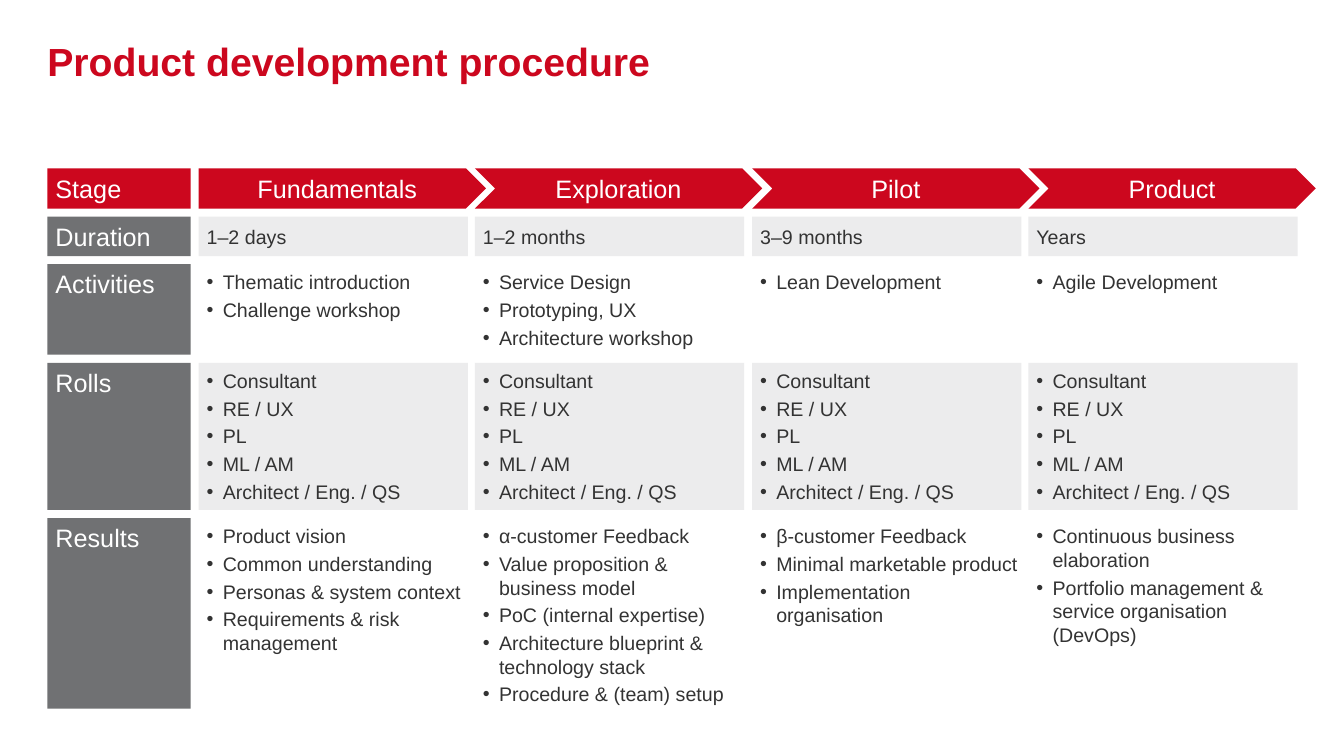
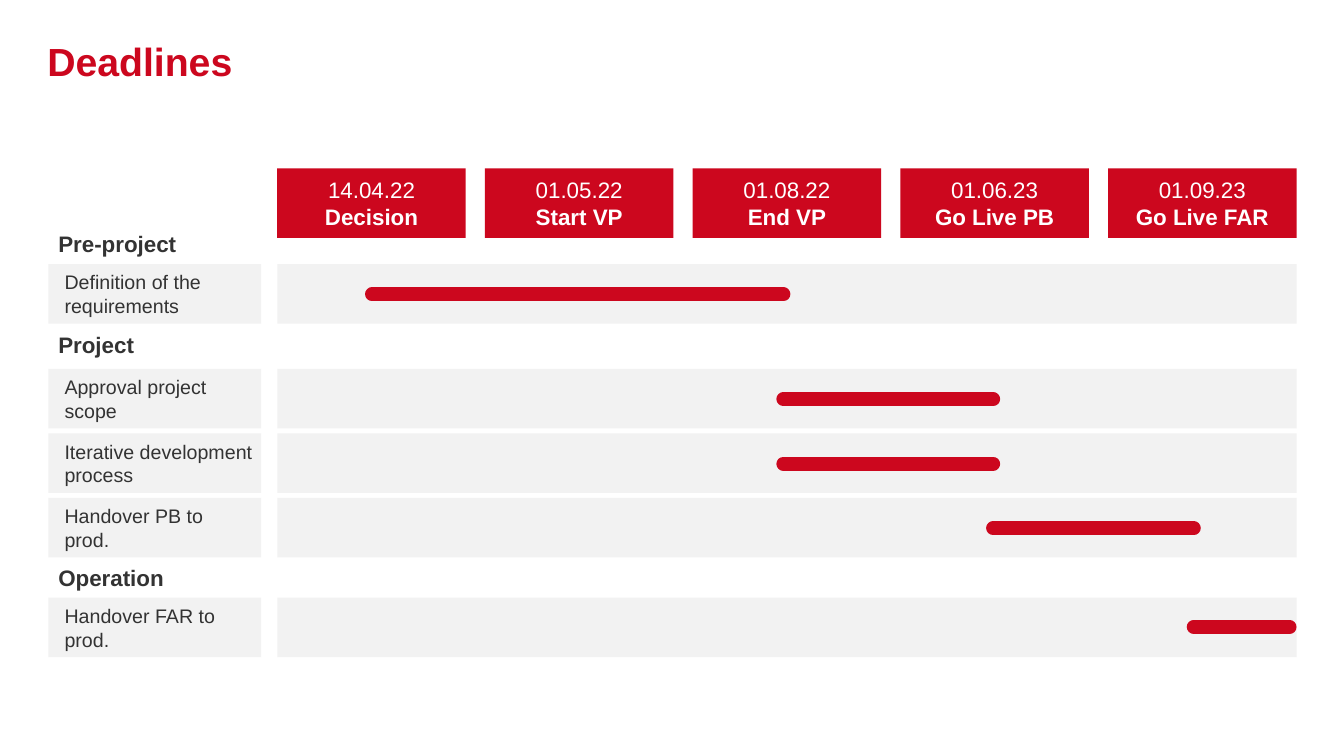
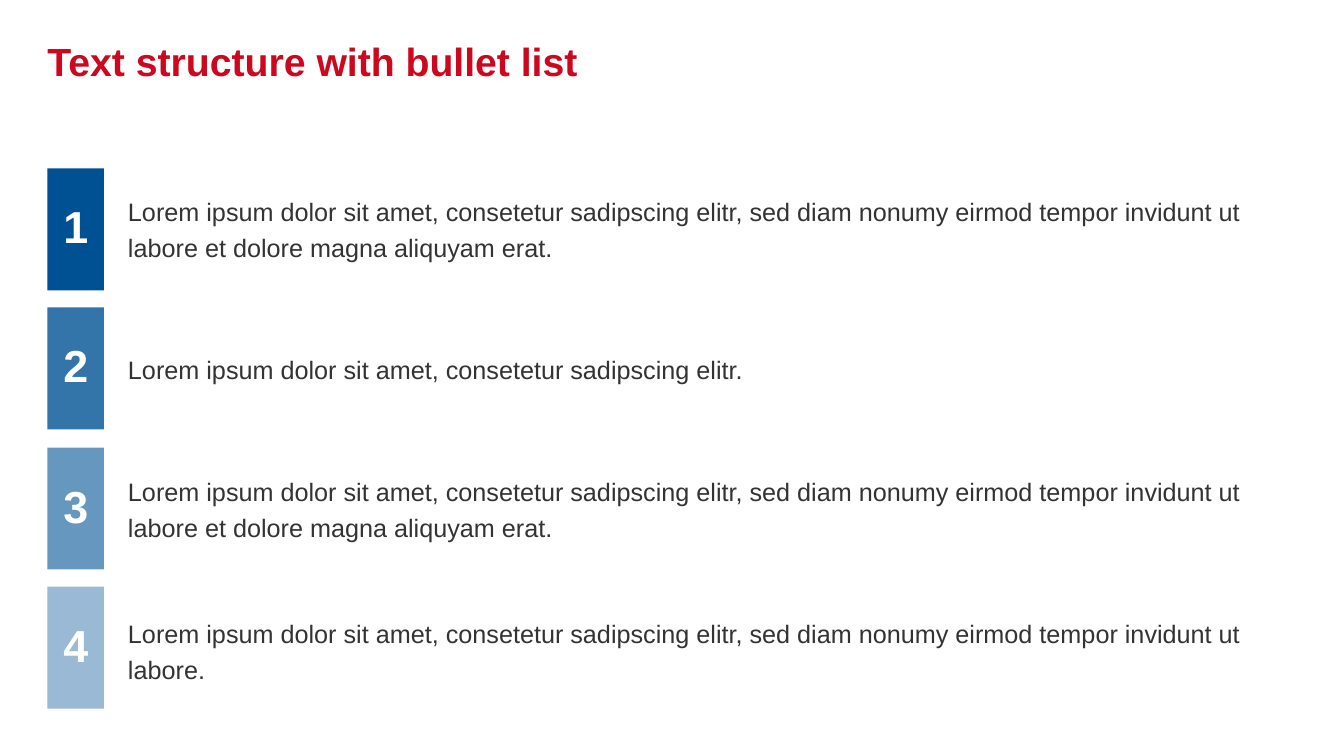
import copy

import lxml.etree
import pptx
import pptx.dml.color
import pptx.enum.shapes
import pptx.enum.text
import pptx.oxml.ns
import pptx.util

EMU_PER_PX = 9144  # 100 px to the inch
FONT = "Arial"
RED, GREY, LIGHT, PALE = "CC071E", "707173", "ECECED", "F2F2F2"
INK, WHITE = "333333", "FFFFFF"
LEFT, RIGHT, TOP = 47, 1287, 167

SHAPE = pptx.enum.shapes.MSO_SHAPE
MIDDLE = pptx.enum.text.MSO_ANCHOR.MIDDLE
UPPER = pptx.enum.text.MSO_ANCHOR.TOP
CENTER = pptx.enum.text.PP_ALIGN.CENTER
NO_PARA_FORMAT = {}

STAGES = ["Fundamentals", "Exploration", "Pilot", "Product"]
DURATIONS = ["1–2 days", "1–2 months", "3–9 months", "Years"]
ACTIVITIES = [
    ["Thematic introduction", "Challenge workshop"],
    ["Service Design", "Prototyping, UX", "Architecture workshop"],
    ["Lean Development"],
    ["Agile Development"],
]
ROLES = ["Consultant", "RE / UX", "PL", "ML / AM", "Architect / Eng. / QS"]
RESULTS = [
    ["Product vision", "Common understanding", "Personas & system context",
     "Requirements & risk management"],
    ["α-customer Feedback", "Value proposition & business model",
     "PoC (internal expertise)", "Architecture blueprint & technology stack",
     "Procedure & (team) setup"],
    ["β-customer Feedback", "Minimal marketable product",
     "Implementation organisation"],
    ["Continuous business elaboration",
     "Portfolio management & service organisation (DevOps)"],
]
# label, height, cell fill, bullet lists of the four stages
LIST_ROWS = [
    ("Activities", 90, None, ACTIVITIES),
    ("Rolls", 146, LIGHT, [ROLES] * len(STAGES)),
    ("Results", 189, None, RESULTS),
]

MILESTONES = [
    ("14.04.22", "Decision"), ("01.05.22", "Start VP"), ("01.08.22", "End VP"),
    ("01.06.23", "Go Live PB"), ("01.09.23", "Go Live FAR"),
]
# heading, its top, top of the first task, tasks with start and end of the bar
PHASES = [
    ("Pre-project", 223, 262, [("Definition of the requirements", 369, 777)]),
    ("Project", 324, 366, [("Approval project scope", 777, 985),
                           ("Iterative development process", 777, 985),
                           ("Handover PB to \vprod.", 985, 1184)]),
    ("Operation", 555, 593, [("Handover FAR to prod.", 1184, 1279)]),
]

LOREM = "Lorem ipsum dolor sit amet, consetetur sadipscing elitr"
LONG_LOREM = LOREM + ", sed diam nonumy eirmod tempor invidunt ut labore"
# fill of the number, height of the text box, text
POINTS = [
    ("005194", 115, LONG_LOREM + " et dolore magna aliquyam erat."),
    ("3374A9", 115, LOREM + "."),
    ("6697BF", 115, LONG_LOREM + " et dolore magna aliquyam erat."),
    ("99B9D4", 119, LONG_LOREM + "."),
]


def px(length):
    return pptx.util.Emu(round(length) * EMU_PER_PX)


def color(value):
    return pptx.dml.color.RGBColor.from_string(value)


def apply_format(target, values):
    for name, value in values.items():
        setattr(target, name, value)


def set_bullet(para):
    properties = para._p.get_or_add_pPr()
    properties.set("marL", str(px(16)))
    properties.set("indent", str(px(-16)))
    qn = pptx.oxml.ns.qn
    bullet_color = lxml.etree.SubElement(properties, qn("a:buClr"))
    lxml.etree.SubElement(bullet_color, qn("a:srgbClr"), val=INK)
    lxml.etree.SubElement(properties, qn("a:buFont"), typeface=FONT)
    lxml.etree.SubElement(properties, qn("a:buChar"), char="•")


def write(shape, lines, size, ink, bold=(), insets=(8, 8, 8, 8), anchor=MIDDLE,
          para_format=NO_PARA_FORMAT, bullets=False):
    """Fill a shape with one paragraph per line; bold holds the bold line numbers."""
    frame = shape.text_frame
    sides = ("margin_left", "margin_top", "margin_right", "margin_bottom")
    apply_format(frame, dict(zip(sides, map(px, insets))))
    apply_format(frame, {"word_wrap": True, "vertical_anchor": anchor,
                         "auto_size": pptx.enum.text.MSO_AUTO_SIZE.NONE})
    for number, line in enumerate(lines):
        para = frame.add_paragraph() if number else frame.paragraphs[0]
        para.text = line
        if bullets:
            set_bullet(para)
        apply_format(para, {"alignment": pptx.enum.text.PP_ALIGN.LEFT, **para_format})
        for span in para.runs:
            apply_format(span.font, {"name": FONT, "size": pptx.util.Pt(size),
                                     "bold": number in bold})
            span.font.color.rgb = color(ink)
        for line_break in para._p.findall(pptx.oxml.ns.qn("a:br")):
            line_break.insert(0, copy.deepcopy(para.runs[0]._r.rPr))


def add_panel(page, box, fill, kind=SHAPE.RECTANGLE):
    panel = page.shapes.add_shape(kind, *map(px, box))
    panel.shadow.inherit = False
    panel.fill.solid()
    panel.fill.fore_color.rgb = color(fill)
    panel.line.fill.background()
    return panel


def add_text_area(page, box):
    return page.shapes.add_textbox(*map(px, box))


def add_bar(page, start, end, middle):
    bar = page.shapes.add_connector(pptx.enum.shapes.MSO_CONNECTOR.STRAIGHT,
                                    px(start), px(middle), px(end), px(middle))
    bar.line.color.rgb = color(RED)
    bar.line.width = pptx.util.Pt(10)
    bar.line._get_or_add_ln().set("cap", "rnd")
    lxml.etree.SubElement(bar._element.spPr, pptx.oxml.ns.qn("a:effectLst"))


def add_page(deck, title):
    page = deck.slides.add_slide(deck.slide_layouts[5])
    holder = page.shapes.title
    apply_format(holder, {"left": px(LEFT), "top": px(0),
                          "width": px(1063), "height": px(120)})
    write(holder, [title], 28, RED, bold=[0], insets=(0, 0, 0, 0))
    return page


def add_row_label(page, box, text, fill, anchor):
    write(add_panel(page, box, fill), [text], 18, WHITE, insets=(8, 4, 0, 4),
          anchor=anchor, para_format={"space_after": pptx.util.Pt(6)})


def add_stage_matrix(page, box):
    left, top, width, height = box
    label_width, cell_width, gap, arrow_tip = 142, 267, 8, 18
    first = left + label_width + gap
    pitch = (left + width - cell_width - first) / (len(STAGES) - 1)
    columns = [first + number * pitch for number in range(len(STAGES))]

    row_height = 40
    add_row_label(page, (left, top, label_width, row_height), "Stage", RED, MIDDLE)
    for number, (column, stage) in enumerate(zip(columns, STAGES)):
        kind = SHAPE.CHEVRON if number else SHAPE.PENTAGON
        arrow = add_panel(page, (column, top, cell_width + arrow_tip, row_height), RED, kind)
        write(arrow, [stage], 18, WHITE, insets=(8, 4, 8, 4),
              para_format={"alignment": CENTER})

    top += row_height + gap
    row_height = 39
    add_row_label(page, (left, top, label_width, row_height), "Duration", GREY, MIDDLE)
    for column, duration in zip(columns, DURATIONS):
        cell = add_panel(page, (column, top, cell_width, row_height), LIGHT)
        write(cell, [duration], 14, INK, insets=(8, 4, 0, 4),
              para_format={"space_after": pptx.util.Pt(6)})

    top += row_height + gap
    for label, row_height, fill, lists in LIST_ROWS:
        add_row_label(page, (left, top, label_width, row_height), label, GREY, UPPER)
        for column, items in zip(columns, lists):
            area = (column, top, cell_width, row_height)
            cell = add_panel(page, area, fill) if fill else add_text_area(page, area)
            write(cell, items, 14, INK, insets=(8, 6, 0, 6), anchor=UPPER,
                  para_format={"space_after": pptx.util.Pt(3)}, bullets=True)
        top += row_height + gap


def add_milestones(page, box):
    left, top, width, height = box
    card_width = 187
    pitch = (width - card_width) / (len(MILESTONES) - 1)
    for number, milestone in enumerate(MILESTONES):
        card = add_panel(page, (left + number * pitch, top, card_width, height), RED)
        write(card, milestone, 16, WHITE, bold=[1], para_format={"alignment": CENTER})


def add_task(page, box, track_left, task):
    left, top, width, height = box
    name, start, end = task
    label = add_panel(page, (left, top, 211, height), PALE)
    write(label, [name], 14, INK, insets=(16, 8, 8, 8))
    add_panel(page, (track_left, top, left + width - track_left, height), PALE)
    add_bar(page, start, end, top + height / 2)


def add_schedule(page, box):
    left, top, width, height = box
    track_left, task_height, task_pitch = left + 227, 59, 64
    add_milestones(page, (track_left, top, left + width - track_left, 69))
    for heading, heading_top, first_top, tasks in PHASES:
        area = add_text_area(page, (left, heading_top, 211, 37))
        write(area, [heading], 16, INK, bold=[0], insets=(10, 5, 10, 5), anchor=UPPER)
        for number, task in enumerate(tasks):
            task_top = first_top + number * task_pitch
            add_task(page, (left, task_top, width, task_height), track_left, task)


def add_numbered_points(page, box):
    left, top, width, height = box
    number_height, text_pitch, text_indent = 121, 139, 64
    pitch = (height - number_height) / (len(POINTS) - 1)
    for index, (fill, text_height, text) in enumerate(POINTS):
        area = (left + text_indent, top + index * text_pitch,
                width - text_indent, text_height)
        write(add_panel(page, area, WHITE), [text], 18, INK, insets=(16, 16, 16, 16),
              para_format={"line_spacing": 1.2, "space_after": pptx.util.Pt(6)})
        badge = add_panel(page, (left, top + index * pitch, 56, number_height), fill)
        write(badge, [str(index + 1)], 32, WHITE, bold=[0], insets=(16, 16, 16, 16),
              para_format={"alignment": CENTER, "line_spacing": 0.9})


def main():
    deck = pptx.Presentation()
    apply_format(deck, {"slide_width": px(1333), "slide_height": px(750)})
    content = (LEFT, TOP, RIGHT - LEFT, 536)
    add_stage_matrix(add_page(deck, "Product development procedure"), content)
    add_schedule(add_page(deck, "Deadlines"), (48, TOP, 1238, 485))
    add_numbered_points(add_page(deck, "Text structure with bullet list"), content)
    deck.save("out.pptx")


if __name__ == "__main__":
    main()
